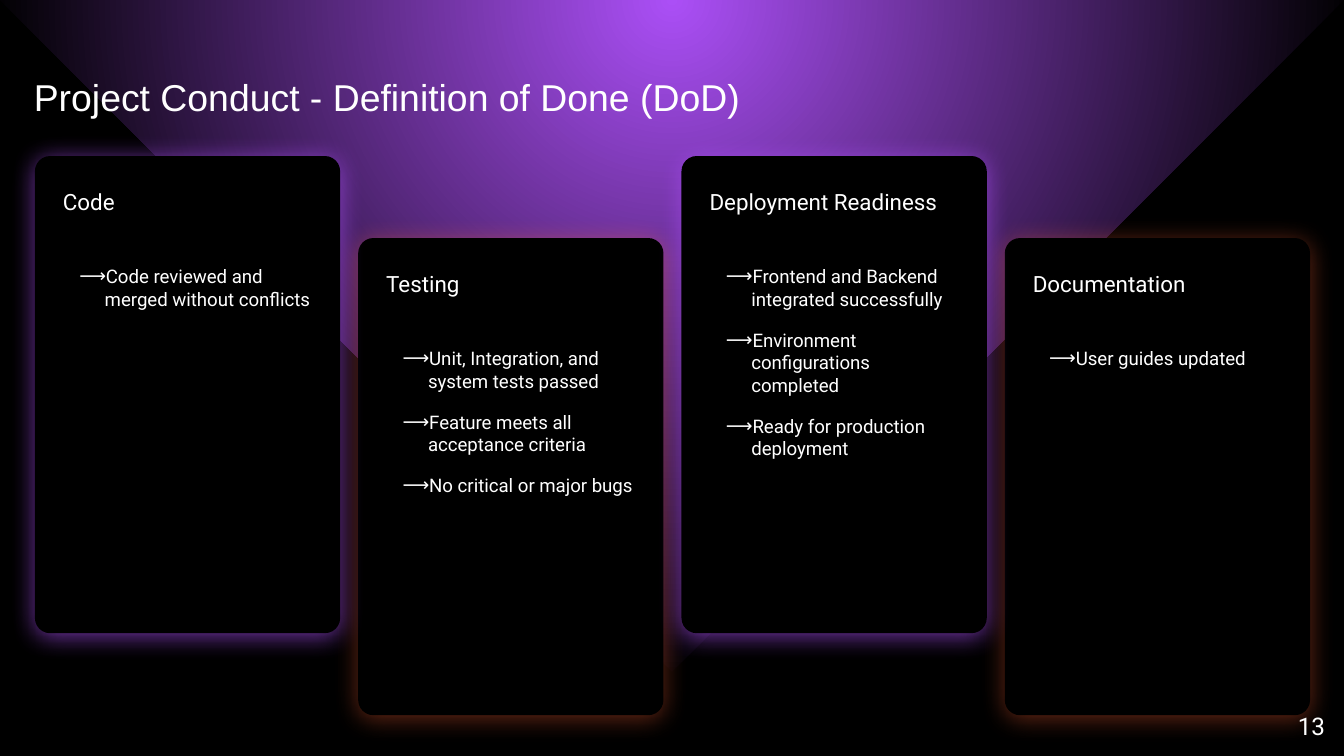
import pptx
import pptx.dml.color
import pptx.enum.shapes
import pptx.enum.text
import pptx.oxml
import pptx.oxml.ns
import pptx.util

Cm = pptx.util.Cm
Pt = pptx.util.Pt
KIND = pptx.enum.shapes.MSO_SHAPE
ALIGN = pptx.enum.text.PP_ALIGN
ANCHOR = pptx.enum.text.MSO_ANCHOR
NS = pptx.oxml.ns.nsdecls("a")

BLACK, WHITE = "000000", "FFFFFF"
PURPLE, ORANGE = "AB4FF6", "FF6234"
LEFT, PITCH = 0.66, 6.11
WIDE, HIGH = 5.77, 9.02
HIGH_TOP, LOW_TOP = 2.95, 4.5

CARDS = [
    (1, "Testing", ["Unit, Integration, and system tests passed",
                    "Feature meets all acceptance criteria",
                    "No critical or major bugs"]),
    (3, "Documentation", ["User guides updated"]),
    (0, "Code", ["Code reviewed and merged without conflicts"]),
    (2, "Deployment Readiness", ["Frontend and Backend integrated successfully",
                                 "Environment configurations completed",
                                 "Ready for production deployment"]),
]


def color(code):
    return pptx.dml.color.RGBColor.from_string(code)


def assign(item, values):
    for name, value in values.items():
        setattr(item, name, value)


def parse(xml):
    return pptx.oxml.parse_xml(xml)


def add_form(slide, kind, box):
    shape = slide.shapes.add_shape(kind, *map(Cm, box))
    shape.shadow.inherit = False
    shape.line.fill.background()
    return shape


def add_text(slide, box, lines, size, font="Roboto", inset=0, frame=None, style=None):
    area = slide.shapes.add_textbox(*map(Cm, box)).text_frame
    margins = {f"margin_{side}": Cm(inset) for side in ("left", "top", "right", "bottom")}
    assign(area, {"word_wrap": True, **margins, **(frame or {})})
    for index, line in enumerate(lines):
        para = area.paragraphs[0] if index == 0 else area.add_paragraph()
        assign(para, style or {})
        run = para.add_run()
        run.text = line
        assign(run.font, {"name": font, "size": Pt(size)})
        run.font.color.rgb = color(WHITE)
    return area


def add_arrows(area):
    for index, para in enumerate(area.paragraphs):
        if index > 0:
            para.space_before = Pt(10)
        props = para._p.get_or_add_pPr()
        props.set("marL", str(Cm(0.79)))
        props.set("indent", str(-Cm(0.48)))
        props.append(parse(f'<a:buClr {NS}><a:srgbClr val="{WHITE}"/></a:buClr>'))
        props.append(parse(f'<a:buFont {NS} typeface="Roboto"/>'))
        props.append(parse(f'<a:buChar {NS} char="⟶"/>'))


def add_glow(shape, code, alpha):
    effects = shape._element.spPr.find(pptx.oxml.ns.qn("a:effectLst"))
    effects.append(parse(
        f'<a:outerShdw {NS} blurRad="{Pt(13.5)}" dist="{Pt(1.5)}" dir="5400000" '
        f'algn="bl" rotWithShape="0"><a:srgbClr val="{code}">'
        f'<a:alpha val="{alpha * 1000}"/></a:srgbClr></a:outerShdw>'))


def add_beam(slide):
    side = 17.96
    shape = add_form(slide, KIND.RIGHT_TRIANGLE, (12.7 - side / 2, -side / 2, side, side))
    shape.rotation = 315
    shape.fill.background()
    stops = "".join(
        f'<a:gs pos="{place * 1000}"><a:srgbClr val="{code}"/></a:gs>'
        for place, code in ((0, PURPLE), (72, BLACK), (100, BLACK)))
    props = shape._element.spPr
    props.replace(props.find(pptx.oxml.ns.qn("a:noFill")), parse(
        f'<a:gradFill {NS} rotWithShape="1"><a:gsLst>{stops}</a:gsLst>'
        '<a:path path="circle"><a:fillToRect l="50000" t="50000" r="50000" b="50000"/>'
        '</a:path></a:gradFill>'))


def place(column):
    return LEFT + PITCH * column, LOW_TOP if column % 2 else HIGH_TOP


def add_card(slide, column):
    shape = add_form(slide, KIND.ROUNDED_RECTANGLE, (*place(column), WIDE, HIGH))
    shape.adjustments[0] = 0.05
    shape.fill.solid()
    shape.fill.fore_color.rgb = color(BLACK)
    add_glow(shape, *((ORANGE, 40) if column % 2 else (PURPLE, 65)))


def add_words(slide, column, head, points):
    left, top = place(column)
    left += 0.53
    add_text(slide, (left, top + 0.64, 4.68, 1.19), [head], 12,
             style={"line_spacing": 0.95})
    add_arrows(add_text(slide, (left, top + 2.06, 4.68, 1.98), points, 10))


def main():
    deck = pptx.Presentation()
    assign(deck, {"slide_width": Cm(25.4), "slide_height": Cm(14.29)})
    slide = deck.slides.add_slide(deck.slide_layouts[6])
    slide.background.fill.solid()
    slide.background.fill.fore_color.rgb = color(BLACK)
    add_beam(slide)
    for column, head, points in CARDS:
        add_card(slide, column)
    add_text(slide, (0.64, 1.27, 15.04, 1.3), ["Project Conduct - Definition of Done (DoD)"],
             20, font="Arial", style={"line_spacing": 1.15})
    for column, head, points in CARDS:
        add_words(slide, column, head, points)
    add_text(slide, (23.77, 13.18, 1.52, 1.09), ["13"], 13, inset=0.25,
             frame={"vertical_anchor": ANCHOR.MIDDLE}, style={"alignment": ALIGN.RIGHT})
    deck.save("out.pptx")


if __name__ == "__main__":
    main()
